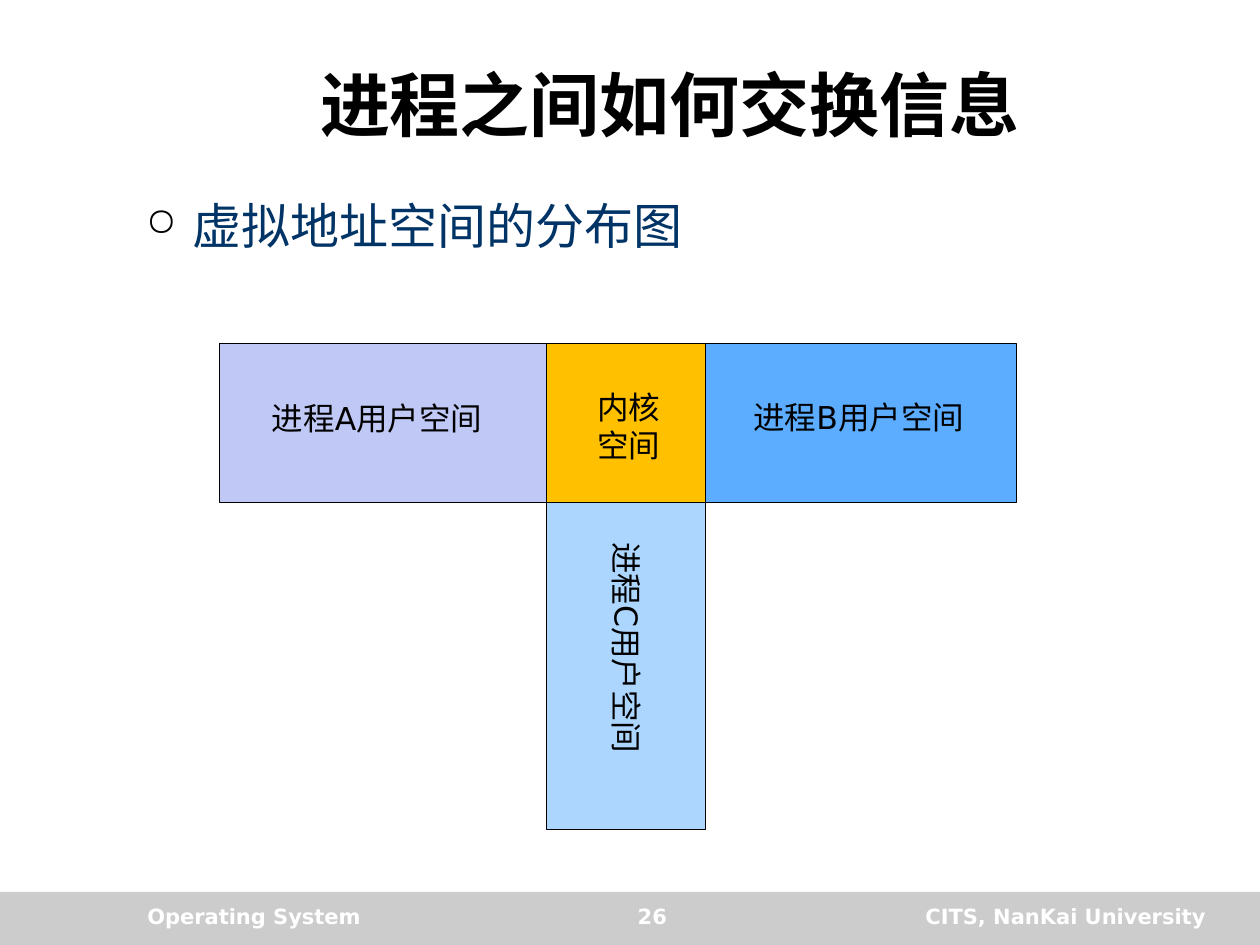
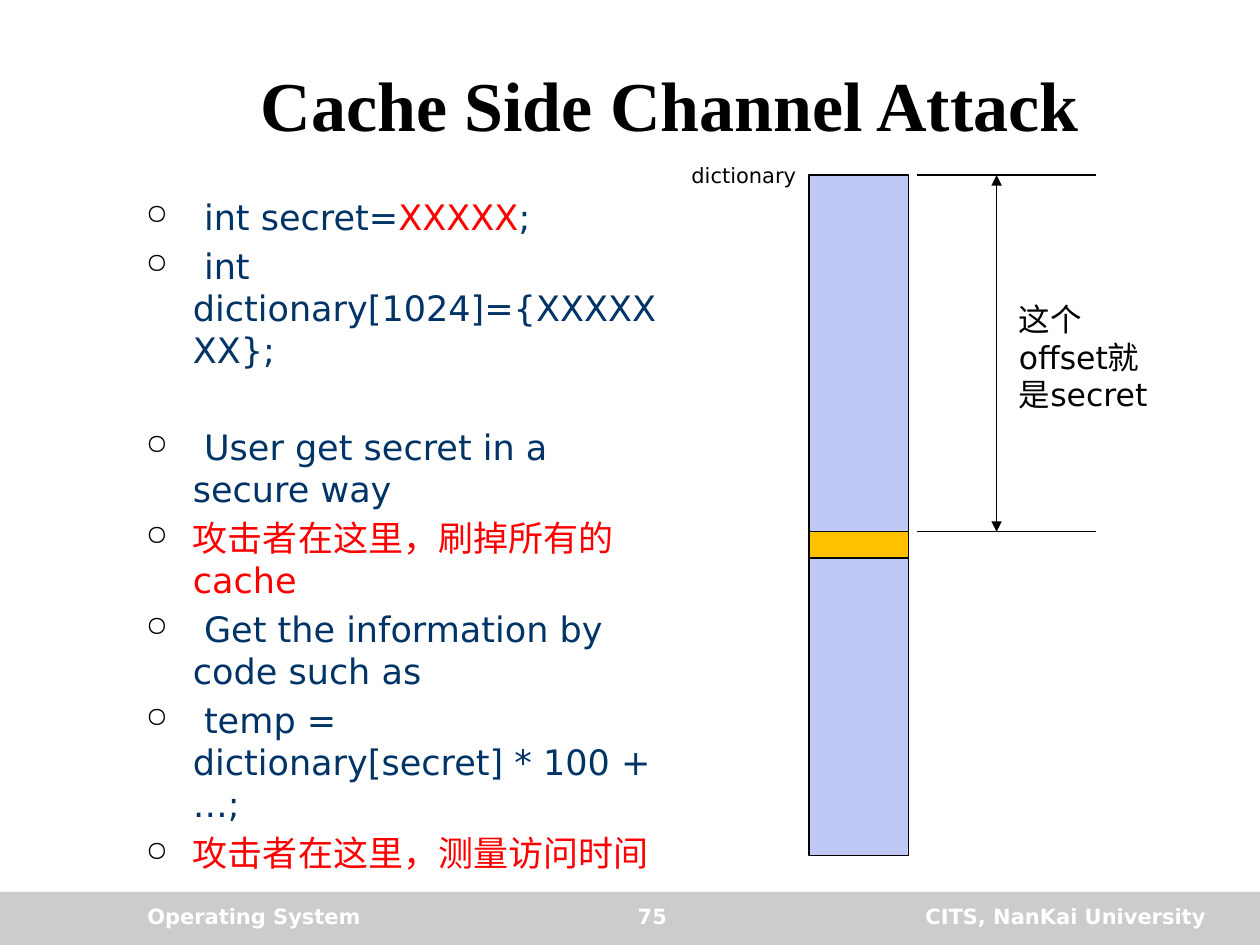
"""Build two operating-system lecture slides on address spaces and cache attacks."""
from dataclasses import dataclass

import lxml.etree
import pptx
import pptx.dml.color
import pptx.enum.shapes
import pptx.enum.text
import pptx.oxml.ns
import pptx.slide
import pptx.util

Cm = pptx.util.Cm
Pt = pptx.util.Pt
Align = pptx.enum.text.PP_ALIGN
Anchor = pptx.enum.text.MSO_ANCHOR
qn = pptx.oxml.ns.qn


@dataclass(frozen=True)
class Theme:
    black: str = "000000"
    white: str = "FFFFFF"
    navy: str = "003366"
    red: str = "FF0000"
    band: str = "CCCCCC"
    lavender: str = "C0C9F6"
    blue: str = "5CADFF"
    pale_blue: str = "ADD6FF"
    amber: str = "FFC000"
    title_font: str = "Times New Roman"
    body_font: str = "DejaVu Sans"
    title_size: float = 40
    heading_size: float = 28
    code_size: float = 20
    label_size: float = 18
    small_size: float = 12
    line_width: float = 0.75


@dataclass(frozen=True)
class Box:
    left: float
    top: float
    width: float
    height: float

    @property
    def right(self) -> float:
        return self.left + self.width

    def lengths(self) -> tuple[int, int, int, int]:
        return Cm(self.left), Cm(self.top), Cm(self.width), Cm(self.height)


@dataclass(frozen=True)
class Run:
    text: str
    color: str | None = None


@dataclass(frozen=True)
class Line:
    runs: tuple[Run, ...]
    space_before: float = 0


@dataclass(frozen=True)
class Block:
    box: Box
    fill: str


@dataclass(frozen=True)
class Label:
    text: str
    box: Box
    rotation: float = 0
    size: float = 18


@dataclass(frozen=True)
class Rule:
    start: tuple[float, float]
    end: tuple[float, float]
    arrows: bool = False


THEME = Theme()
SLIDE_WIDTH, SLIDE_HEIGHT = 25.4, 19.05
BAND_TOP = 17.98
FOOTER_TOP, FOOTER_HEIGHT = 18.08, 0.84
TITLE_BOX = Box(2.69, 0.84, 21.62, 2.49)
BODY_LEFT, BODY_TOP = 2.69, 3.81
BULLET_INDENT = 0.95


def rgb(color: str) -> pptx.dml.color.RGBColor:
    return pptx.dml.color.RGBColor.from_string(color)


def add_bullet(paragraph) -> None:
    properties = paragraph._p.get_or_add_pPr()
    properties.set("marL", str(Cm(BULLET_INDENT)))
    properties.set("indent", str(-Cm(BULLET_INDENT)))
    color = lxml.etree.SubElement(properties, qn("a:buClr"))
    lxml.etree.SubElement(color, qn("a:srgbClr"), val=THEME.black)
    lxml.etree.SubElement(properties, qn("a:buSzPct"), val="80000")
    lxml.etree.SubElement(properties, qn("a:buChar"), char="○")


def add_text(slide: pptx.slide.Slide, box: Box, text: str | list[Line], *,
             size: float, color: str = THEME.black, font: str = THEME.body_font,
             bold: bool = False, align: Align = Align.LEFT,
             anchor: Anchor = Anchor.TOP, rotation: float = 0,
             bullets: bool = False) -> None:
    shape = slide.shapes.add_textbox(*box.lengths())
    shape.rotation = rotation
    frame = shape.text_frame
    frame.word_wrap = True
    frame.vertical_anchor = anchor
    if isinstance(text, str):
        text = [Line((Run(part),)) for part in text.split("\n")]
    for index, line in enumerate(text):
        paragraph = frame.add_paragraph() if index else frame.paragraphs[0]
        paragraph.alignment = align
        if bullets:
            add_bullet(paragraph)
        if line.space_before:
            paragraph.space_before = Pt(line.space_before)
        for part in line.runs:
            run = paragraph.add_run()
            run.text = part.text
            run.font.name = font
            run.font.size = Pt(size)
            run.font.bold = bold
            run.font.color.rgb = rgb(part.color or color)


def add_block(slide: pptx.slide.Slide, block: Block, outlined: bool = True) -> None:
    shape = slide.shapes.add_shape(
        pptx.enum.shapes.MSO_SHAPE.RECTANGLE, *block.box.lengths())
    shape.shadow.inherit = False
    shape.fill.solid()
    shape.fill.fore_color.rgb = rgb(block.fill)
    if outlined:
        shape.line.color.rgb = rgb(THEME.black)
        shape.line.width = Pt(THEME.line_width)
    else:
        shape.line.fill.background()


def add_rule(slide: pptx.slide.Slide, rule: Rule) -> None:
    points = [Cm(value) for value in (*rule.start, *rule.end)]
    connector = slide.shapes.add_connector(
        pptx.enum.shapes.MSO_CONNECTOR.STRAIGHT, *points)
    connector.line.color.rgb = rgb(THEME.black)
    connector.line.width = Pt(THEME.line_width)
    if rule.arrows:
        line = connector.line._get_or_add_ln()
        for end in ("a:headEnd", "a:tailEnd"):
            lxml.etree.SubElement(line, qn(end), type="triangle")
    lxml.etree.SubElement(connector._element.spPr, qn("a:effectLst"))


def add_label(slide: pptx.slide.Slide, label: Label) -> None:
    add_text(slide, label.box, label.text, size=label.size, rotation=label.rotation)


def add_base_slide(presentation, title: str, number: int) -> pptx.slide.Slide:
    slide = presentation.slides.add_slide(presentation.slide_layouts[6])
    band = Box(0, BAND_TOP, SLIDE_WIDTH, SLIDE_HEIGHT - BAND_TOP)
    add_block(slide, Block(band, THEME.band), outlined=False)
    add_text(slide, TITLE_BOX, title, size=THEME.title_size, font=THEME.title_font,
             bold=True, align=Align.CENTER, anchor=Anchor.MIDDLE)
    footers = (
        ("Operating System", 2.72, 6.99, Align.LEFT),
        (str(number), 10.19, 5.92, Align.CENTER),
        ("CITS, NanKai University", 16.51, 8.05, Align.RIGHT),
    )
    for text, left, width, align in footers:
        add_text(slide, Box(left, FOOTER_TOP, width, FOOTER_HEIGHT), text,
                 size=THEME.small_size, color=THEME.white, bold=True, align=align)
    return slide


def build_address_space_slide(presentation) -> None:
    slide = add_base_slide(presentation, "进程之间如何交换信息", 26)
    add_text(slide, Box(BODY_LEFT, BODY_TOP, 22.4, 13.92), "虚拟地址空间的分布图",
             size=THEME.heading_size, color=THEME.navy, bullets=True)

    top, length, side = 6.93, 9.8, 3.2
    process_a = Box(4.42, top, length, side)
    kernel = Box(process_a.right - side, top, side, side)
    blocks = (
        Block(Box(10.69, top, length, side), THEME.blue),
        Block(process_a, THEME.lavender),
        Block(Box(kernel.left, top, side, length), THEME.pale_blue),
        Block(kernel, THEME.amber),
    )
    for block in blocks:
        add_block(slide, block)

    labels = (
        Label("进程A用户空间", Box(5.23, 7.92, 4.9, 1.02)),
        Label("进程B用户空间", Box(14.94, 7.9, 4.9, 1.02)),
        Label("进程C用户空间", Box(10.19, 12.62, 4.9, 1.02), rotation=90),
        Label("内核\n空间", Box(11.79, 7.7, 2.57, 1.8)),
    )
    for label in labels:
        add_label(slide, label)


def build_cache_attack_slide(presentation) -> None:
    slide = add_base_slide(presentation, "Cache Side Channel Attack", 75)
    gap, section_gap = 4, 31.5
    lines = [
        Line((Run(" int secret="), Run("XXXXX", THEME.red), Run(";"))),
        Line((Run(" int dictionary[1024]={XXXXXXX};"),), gap),
        Line((Run(" User get secret in a secure way"),), section_gap),
        Line((Run("攻击者在这里，刷掉所有的cache", THEME.red),), gap),
        Line((Run(" Get the information by code such as"),), gap),
        Line((Run(" temp = dictionary[secret] * 100 + …;"),), gap),
        Line((Run("攻击者在这里，测量访问时间", THEME.red),), gap),
    ]
    add_text(slide, Box(BODY_LEFT, BODY_TOP, 10.8, 15.11), lines,
             size=THEME.code_size, color=THEME.navy, bullets=True)

    dictionary = Box(16.31, 3.53, 2, 13.72)
    entry = Box(dictionary.left, 10.72, dictionary.width, 0.53)
    add_block(slide, Block(dictionary, THEME.lavender))
    add_block(slide, Block(entry, THEME.amber))

    rule_left, rule_right, arrow_x = 18.49, 22.1, 20.09
    rules = [Rule((rule_left, y), (rule_right, y)) for y in (dictionary.top, entry.top)]
    rules.append(Rule((arrow_x, dictionary.top), (arrow_x, entry.top), arrows=True))
    for rule in rules:
        add_rule(slide, rule)

    add_label(slide, Label("这个offset就是secret", Box(20.29, 5.92, 3.4, 2.57)))
    add_label(slide, Label("dictionary", Box(13.69, 3.15, 2.79, 0.76),
                           size=THEME.small_size))


def main() -> None:
    presentation = pptx.Presentation()
    presentation.slide_width = Cm(SLIDE_WIDTH)
    presentation.slide_height = Cm(SLIDE_HEIGHT)
    build_address_space_slide(presentation)
    build_cache_attack_slide(presentation)
    presentation.save("out.pptx")


if __name__ == "__main__":
    main()
